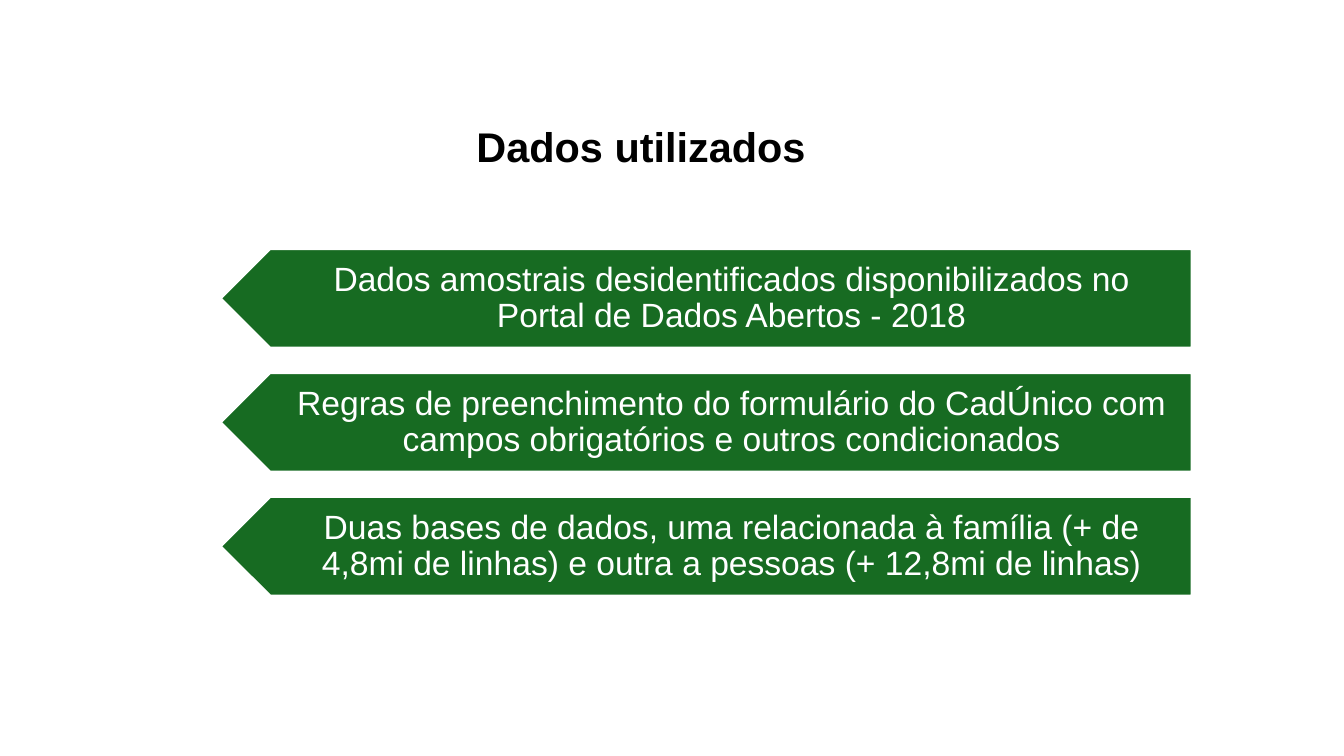
"""Build the slide "Dados utilizados" with three arrow-shaped banners."""
from pptx import Presentation
from pptx.dml.color import RGBColor
from pptx.enum.shapes import MSO_SHAPE as Shape
from pptx.enum.text import MSO_ANCHOR as Anchor, MSO_AUTO_SIZE as Fit, PP_ALIGN as Align
from pptx.util import Pt

PX = 9144
GREEN = RGBColor(0x17, 0x6B, 0x22)
WHITE = RGBColor(0xFF, 0xFF, 0xFF)
BLACK = RGBColor(0x00, 0x00, 0x00)


def write(box, text, size, color, bold=False, lead=0.9, anchor=Anchor.MIDDLE,
          pads=(43, 10, 19, 10)):
    frame = box.text_frame
    frame.word_wrap = True
    frame.auto_size = Fit.NONE
    frame.vertical_anchor = anchor
    left, top, right, low = [pad * PX for pad in pads]
    frame.margin_left, frame.margin_top = left, top
    frame.margin_right, frame.margin_bottom = right, low
    frame.text = text
    para = frame.paragraphs[0]
    para.alignment = Align.CENTER
    para.line_spacing = lead
    para.space_before = Pt(0)
    font = para.runs[0].font
    font.name, font.size, font.bold = "Arial", Pt(size), bold
    font.color.rgb = color


deck = Presentation()
deck.slide_width, deck.slide_height = 1333 * PX, 750 * PX
slide = deck.slides.add_slide(deck.slide_layouts[5])

title = slide.shapes.title
title.left, title.top = 136 * PX, 129 * PX
title.width, title.height = 1000 * PX, 49 * PX
write(title, "Dados utilizados", 29.6, BLACK, bold=True, lead=0.7,
      anchor=Anchor.TOP, pads=(10, 5, 10, 5))

facts = [
    "Dados amostrais desidentificados disponibilizados no Portal de Dados Abertos - 2018",
    "Regras de preenchimento do formulário do CadÚnico com campos obrigatórios e outros condicionados",
    "Duas bases de dados, uma relacionada à família (+ de 4,8mi de linhas) "
    "e outra a pessoas (+ 12,8mi de linhas)",
]
for row, fact in enumerate(facts):
    top = (247 + 123 * row) * PX
    arrow = slide.shapes.add_shape(Shape.PENTAGON, 219 * PX, top, 963 * PX, 98 * PX)
    arrow.rotation = 180
    arrow.adjustments[0] = 0.5
    arrow.shadow.inherit = False
    arrow.fill.solid()
    arrow.fill.fore_color.rgb = GREEN
    arrow.line.color.rgb = WHITE
    arrow.line.width = Pt(1.5)
    label = slide.shapes.add_textbox(245 * PX, top, 937 * PX, 98 * PX)
    write(label, fact, 24, WHITE)

deck.save("out.pptx")
